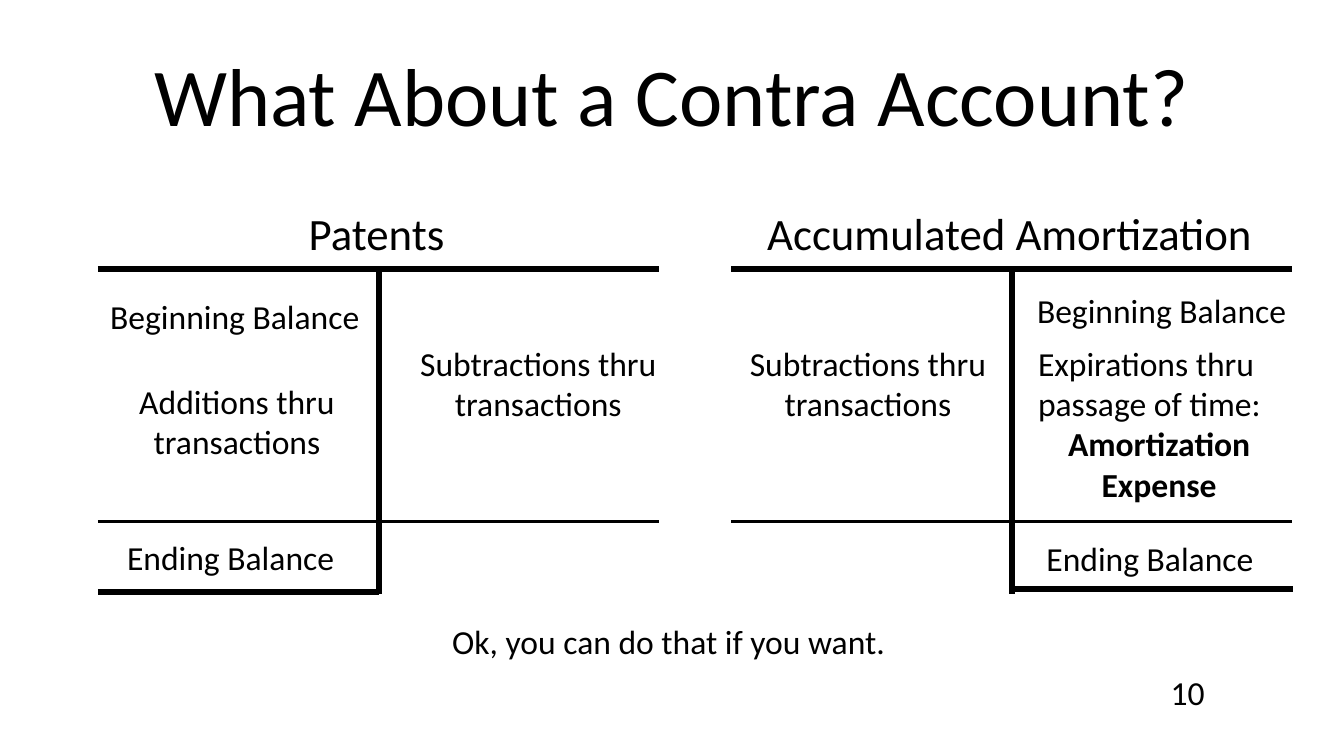
from pptx import Presentation
from pptx.dml.color import RGBColor
from pptx.enum import shapes, text
from pptx.oxml.ns import qn
from pptx.util import Pt

BLACK = RGBColor(0, 0, 0)
LEFT, MID = text.PP_ALIGN.LEFT, text.PP_ALIGN.CENTER

deck = Presentation()
deck.slide_width, deck.slide_height = Pt(720), Pt(405)
slide = deck.slides.add_slide(deck.slide_layouts[5])


def style(para, size, align, bold=False):
    para.alignment = align
    font = para.font
    font.name, font.size, font.bold = "Calibri", Pt(size), bold
    font.color.rgb = BLACK


def label(x, y, w, h, paras, size=18, wrap=False):
    """Add a text box; each paragraph is (words, alignment, bold)."""
    box = slide.shapes.add_textbox(Pt(x), Pt(y), Pt(w), Pt(h))
    frame = box.text_frame
    frame.word_wrap = wrap
    for i, (words, align, bold) in enumerate(paras):
        para = frame.add_paragraph() if i else frame.paragraphs[0]
        para.text = words
        style(para, size, align, bold)


title = slide.shapes.title
title.left, title.top, title.width, title.height = Pt(36), Pt(16.5), Pt(648), Pt(67.5)
title.text_frame.text = "What About a Contra Account?"
style(title.text_frame.paragraphs[0], 44, MID)

# T-accounts: left edge and the side that holds the ending balance
HALF, WIDE = 150.4, 300.5
TOP, RULE, FOOT = 144, 279.5, 318
rules = []
for left, start, base in ((52.5, 0, 317), (391.7, HALF, 315.5)):
    stem = left + HALF
    rules += [
        (left, TOP, left + WIDE, TOP, 3),
        (stem, TOP, stem, FOOT, 3),
        (left, RULE, left + WIDE, RULE, 1.5),
        (left + start, base, left + start + HALF, base, 3),
    ]
for x1, y1, x2, y2, weight in rules:
    line = slide.shapes.add_connector(
        shapes.MSO_CONNECTOR.STRAIGHT, Pt(x1), Pt(y1), Pt(x2), Pt(y2))
    line.line.color.rgb = BLACK
    line.line.width = Pt(weight)
    props = line._element.spPr
    props.append(props.makeelement(qn("a:effectLst"), {}))

for x, name in ((54.7, "Patents"), (393.8, "Accumulated Amortization")):
    label(x, 106.5, 294, 36, [(name, MID, False)], 24, True)

for x, y, w, words in (
    (52, 155, 150, "Beginning Balance"),
    (61, 284, 127, "Ending Balance"),
    (548.5, 152, 150, "Beginning Balance"),
    (553.5, 284.5, 127, "Ending Balance"),
    (235.2, 329.2, 249, "Ok, you can do that if you want."),
):
    label(x, y, w, 29, [(words, LEFT, False)])

for x, y, w, kind in (
    (67.5, 200.5, 120, "Additions"),
    (218, 180, 142.5, "Subtractions"),
    (394.6, 180, 142.5, "Subtractions"),
):
    label(x, y, w, 51, [(kind + " thru", LEFT, False), ("transactions", MID, False)])

label(549, 180, 144, 94, [
    ("Expirations thru passage of time:", LEFT, False),
    ("Amortization Expense", MID, True),
], wrap=True)
label(620, 356.5, 42.5, 21.5, [("10", LEFT, False)], wrap=True)

deck.save("out.pptx")
